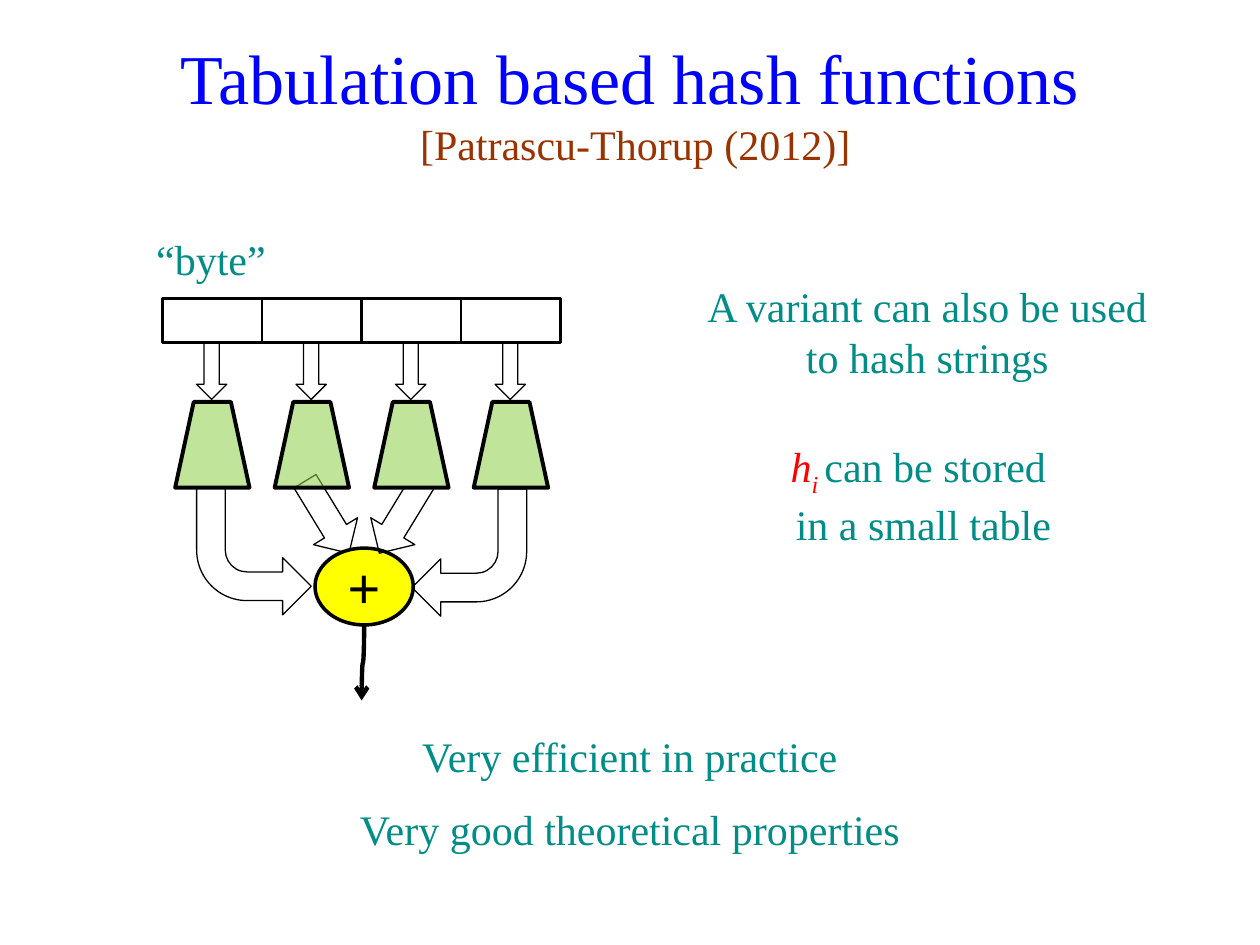
"""Build a slide on tabulation based hash functions with a four-byte lookup diagram."""
from lxml import etree
from pptx import Presentation
from pptx.dml.color import RGBColor
from pptx.enum.shapes import MSO_CONNECTOR as Connector, MSO_SHAPE as Shape
from pptx.enum.text import MSO_ANCHOR as Anchor, PP_ALIGN as Align
from pptx.oxml.ns import qn
from pptx.util import Inches, Pt

COLORS = {"title": "0000FF", "citation": "993300", "text": "008C87", "symbol": "FF0000",
          "line": "000000", "table": "92D050", "sum": "FFFF00", "paper": "FFFFFF"}
SERIF = "Times New Roman"

TITLE = [("Tabulation based hash functions\v", "title", {"size": 40}),
         (" [Patrascu-Thorup (2012)]", "citation", {})]
NOTES = [
    ((5.38, 2.14, 3.96, 1.04), [("A variant can also be used to hash strings", "text", {})]),
    ((5.48, 3.41, 3.7, 1.04), [("h", "symbol", {"italic": True}),
                               ("i ", "symbol", {"italic": True, "baseline": -25}),
                               ("can be stored \vin a small table", "text", {})]),
    ((1.01, 1.76, 1.33, 0.57), [("“byte”", "text", {})]),
    ((0, 5.71, 10, 0.57), [("Very efficient in practice", "text", {})]),
    ((0, 6.29, 10, 0.57), [("Very good theoretical properties", "text", {})]),
]

BYTES, PITCH = 4, 0.79
BYTE_BOX = (1.29, 2.37, PITCH, 0.35)
FEED_ARROW = (1.56, 2.72, 0.24, 0.45)
TABLE = (1.39, 3.19, 0.59, 0.68)
SUM = (2.5, 4.35, 0.78, 0.61)
OUTPUT = (2.58, 5.25, 3.18, 5.27)
BEND = (0.25, 0.25, 0.25, 0.44)


def rgb(name):
    return RGBColor.from_string(COLORS[name])


def add_runs(frame, runs, anchor=Anchor.TOP):
    frame.word_wrap = True
    frame.vertical_anchor = anchor
    paragraph = frame.paragraphs[0]
    paragraph.alignment = Align.CENTER
    for words, color, style in runs:
        for position, line in enumerate(words.split("\v")):
            if position:
                paragraph.add_line_break()
            if not line:
                continue
            run = paragraph.add_run()
            run.text = line
            run.font.name = style.get("font", SERIF)
            run.font.size = Pt(style.get("size", 24))
            run.font.italic = style.get("italic", False)
            run.font.color.rgb = rgb(color)
            if "baseline" in style:
                run.font._element.set("baseline", str(style["baseline"] * 1000))


def add_part(slide, kind, box, fill=None, width=0.75, alpha=None, rotation=0, adjust=()):
    part = slide.shapes.add_shape(kind, *map(Inches, box))
    part.shadow.inherit = False
    part.rotation = rotation
    for index, value in enumerate(adjust):
        part.adjustments[index] = value
    if fill:
        part.fill.solid()
        part.fill.fore_color.rgb = rgb(fill)
    else:
        part.fill.background()
    if alpha:
        color = part._element.spPr.find(qn("a:solidFill"))[0]
        etree.SubElement(color, qn("a:alpha"), val=str(alpha * 1000))
    if width:
        part.line.color.rgb = rgb("line")
        part.line.width = Pt(width)
    else:
        part.line.fill.background()
    return part


def add_lookup(slide, index):
    add_part(slide, Shape.TRAPEZOID, column(TABLE, index), "table", 2.25, alpha=57)


def column(box, index):
    left, *rest = box
    return (left + index * PITCH, *rest)


def add_output(slide):
    arrow = slide.shapes.add_connector(Connector.CURVE, *map(Inches, OUTPUT))
    arrow.line.color.rgb = rgb("line")
    arrow.line.width = Pt(2.5)
    properties = arrow._element.spPr
    properties.find(qn("a:xfrm")).set("rot", str(90 * 60000))
    etree.SubElement(properties.find(qn("a:ln")), qn("a:tailEnd"), type="arrow")
    etree.SubElement(properties, qn("a:effectLst"))


def add_text(slide, box, runs, anchor=Anchor.TOP):
    frame = slide.shapes.add_textbox(*map(Inches, box)).text_frame
    if anchor == Anchor.TOP:
        frame.margin_top = Inches(0.09)
    add_runs(frame, runs, anchor)


def main():
    deck = Presentation()
    deck.slide_width, deck.slide_height = Inches(10), Inches(7.5)
    slide = deck.slides.add_slide(deck.slide_layouts[6])

    add_part(slide, Shape.DOWN_ARROW, (2.39, 3.77, 0.41, 0.67), rotation=328.6)
    add_text(slide, (0, 0.41, 10, 0.79), TITLE, Anchor.MIDDLE)
    for index in range(BYTES):
        add_part(slide, Shape.RECTANGLE, column(BYTE_BOX, index), width=1.5)
    for index in range(BYTES):
        add_part(slide, Shape.DOWN_ARROW, column(FEED_ARROW, index))

    total = add_part(slide, Shape.OVAL, SUM, "sum", 2)
    frame = total.text_frame
    frame.margin_left = frame.margin_right = frame.margin_top = frame.margin_bottom = 0
    add_runs(frame, [("+", "line", {"size": 32, "font": "Arial"})], Anchor.MIDDLE)
    add_output(slide)

    for box, runs in NOTES:
        add_text(slide, box, runs)

    for index in (0, 1, 3):
        add_lookup(slide, index)
    add_part(slide, Shape.BENT_ARROW, (3.27, 3.88, 0.91, 1.01), rotation=180, adjust=BEND)
    mirrored = add_part(slide, Shape.BENT_ARROW, (1.56, 3.87, 0.91, 1.01),
                        rotation=180, adjust=BEND)
    mirrored._element.spPr.find(qn("a:xfrm")).set("flipH", "1")
    add_part(slide, Shape.DOWN_ARROW, (2.98, 3.77, 0.41, 0.67), rotation=31.4)
    add_part(slide, Shape.RECTANGLE, (3, 3.44, 0.51, 0.42), "paper", width=0)
    add_lookup(slide, 2)

    deck.save("out.pptx")


if __name__ == "__main__":
    main()
